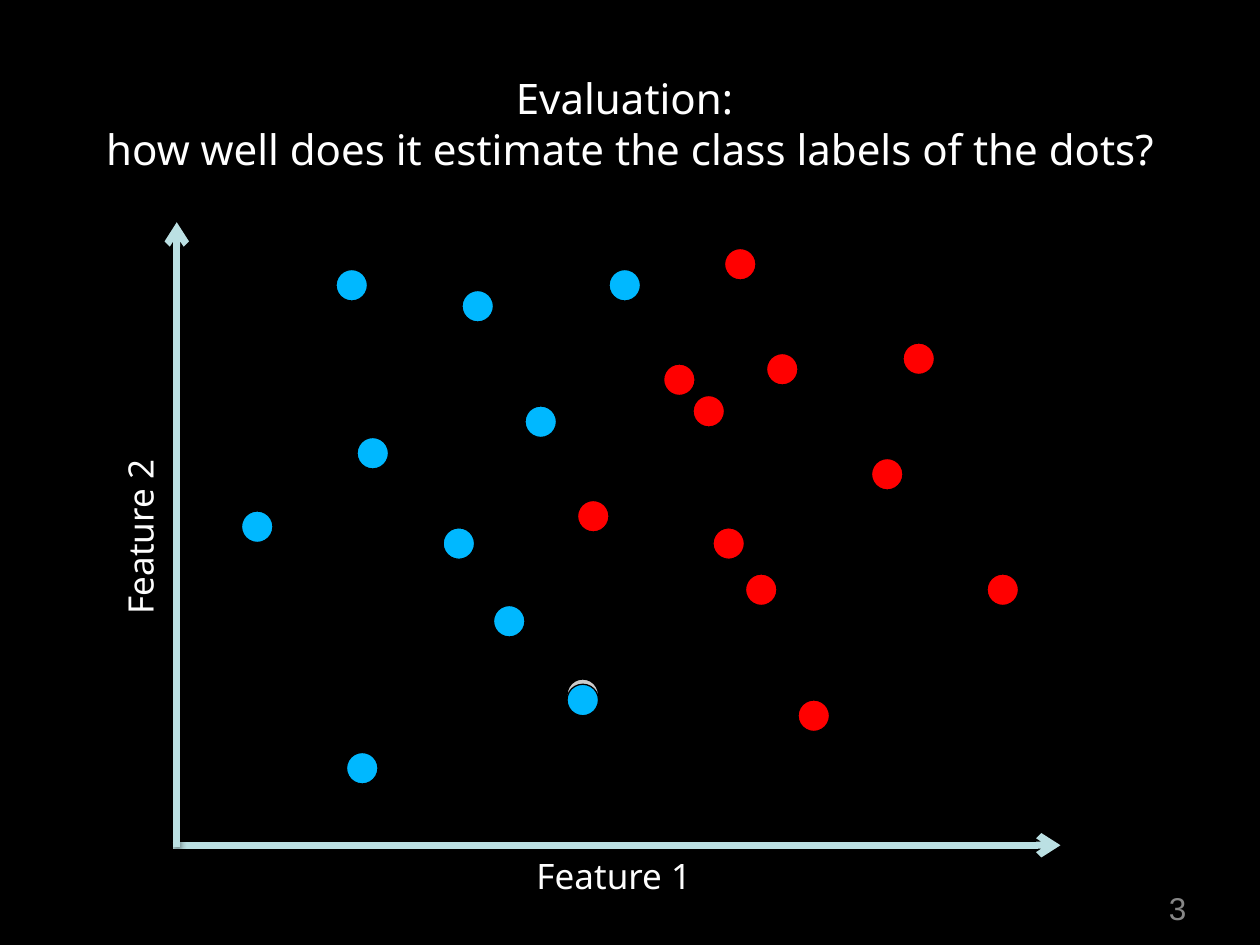
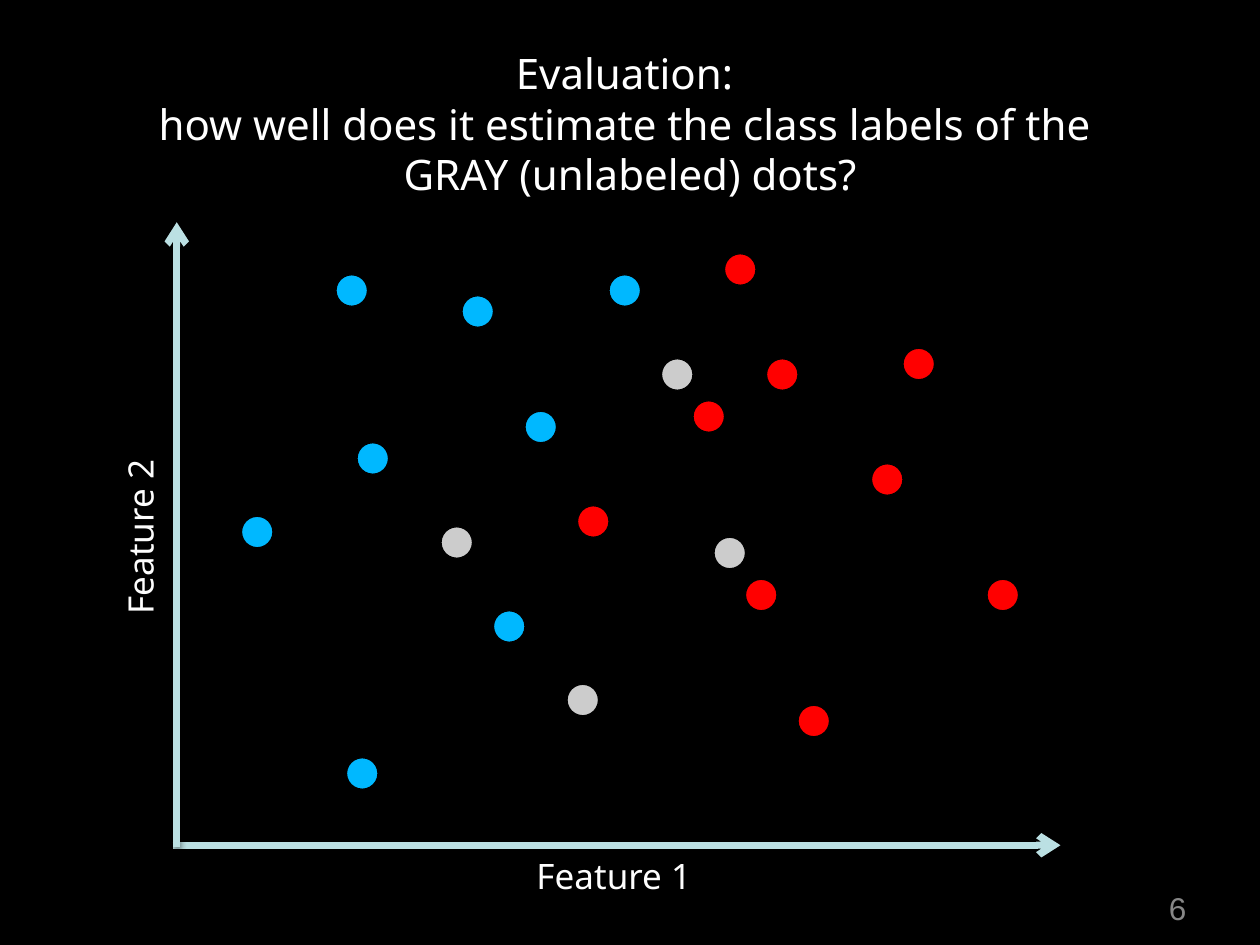
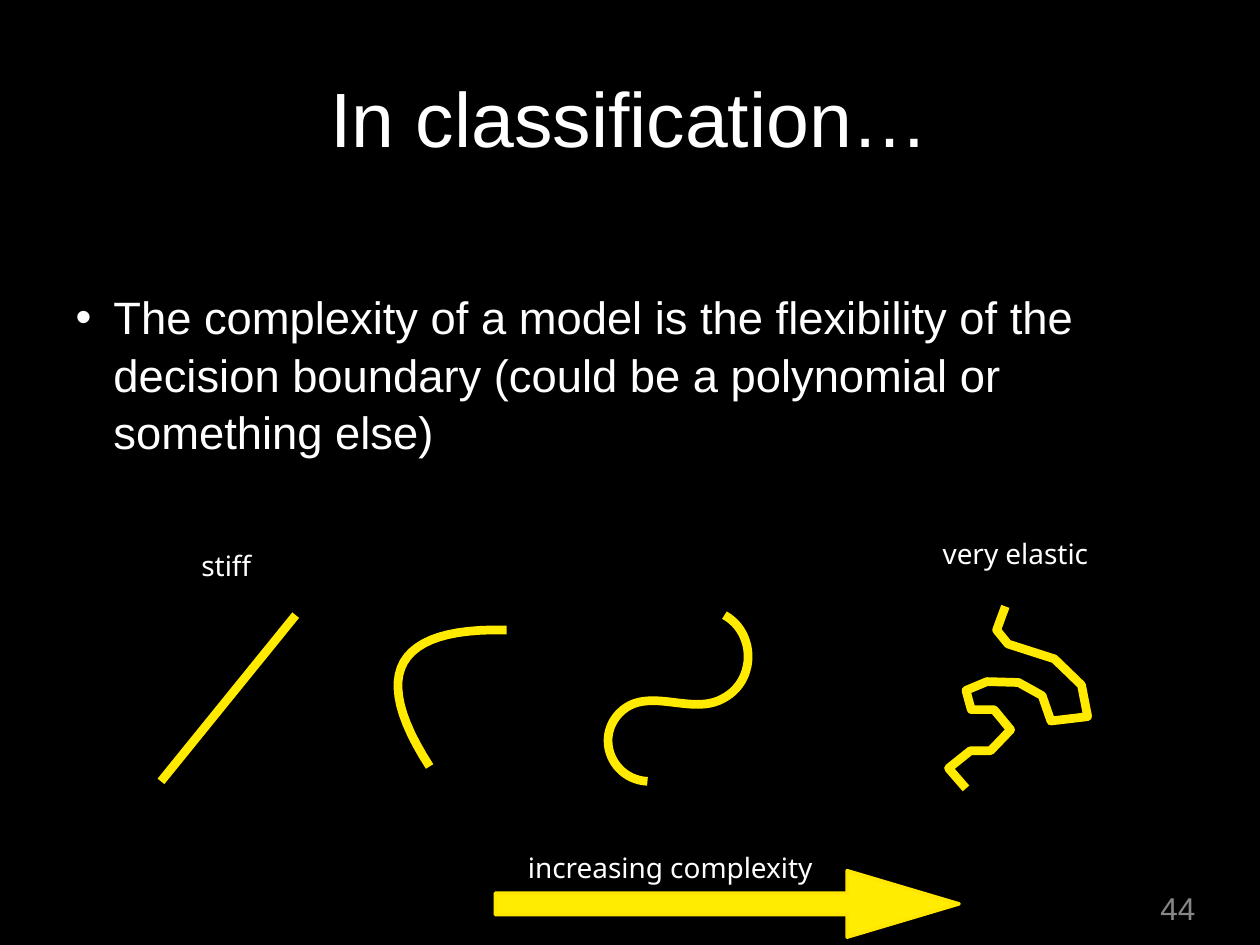
from dataclasses import dataclass

from lxml.etree import SubElement
from pptx import Presentation
from pptx.dml.color import RGBColor as RGB
from pptx.enum.shapes import MSO_CONNECTOR as CONN, MSO_SHAPE as SHAPE
from pptx.enum.text import MSO_ANCHOR as ANCHOR, MSO_AUTO_SIZE as AUTO, PP_ALIGN as ALIGN
from pptx.oxml.ns import qn
from pptx.util import Pt


@dataclass(frozen=True)
class Theme:
    black: RGB = RGB(0x00, 0x00, 0x00)
    white: RGB = RGB(0xFF, 0xFF, 0xFF)
    axis_text: RGB = RGB(0xFD, 0xFD, 0xFD)
    number: RGB = RGB(0x87, 0x87, 0x87)
    axis: RGB = RGB(0xBB, 0xE0, 0xE3)
    blue: RGB = RGB(0x00, 0xB8, 0xFF)
    red: RGB = RGB(0xFF, 0x00, 0x00)
    gray: RGB = RGB(0xCC, 0xCC, 0xCC)
    curve: RGB = RGB(0xFF, 0xEA, 0x00)
    arrow: RGB = RGB(0xFF, 0xEC, 0x00)
    arrow_edge: RGB = RGB(0xFF, 0xE6, 0x00)
    sans: str = "Arial"
    humanist: str = "Noto Sans"
    title: float = 44
    question: float = 24
    body: float = 25.9
    axis_label: float = 20
    page: float = 18
    label: float = 16


T = Theme()
TITLE_ONLY, TITLE_BODY = 5, 1
PLOT_BOX = (101, 127, 505, 356)
CELL, DOT = 6, 18

# Dot positions in grid cells: column, row
BLUE_DOTS = [(17, 20), (15, 4), (27, 6), (41, 4), (6, 27), (30, 36), (16, 50), (33, 17)]
RED_DOTS = [(56, 12), (49, 16), (54, 33), (59, 45), (52, 2), (66, 22), (38, 26), (77, 33), (69, 11)]
GRAY_DOTS = [(46, 12), (25, 28), (51, 29), (37, 43)]
GUESSED_RED = [(46.2, 13), (50.9, 28.6)]
GUESSED_BLUE = [(25.2, 28.6), (37, 43.5)]

# Decision boundaries: start point, then three points per Bezier segment
BEND = [(153.5, 92), (119, 38.5), (134, 12.5), (197.5, 14)]
S_CURVE = [(278, 100.5), (258, 99.5), (248, 76), (262, 61.5),
           (277.5, 45.5), (302.5, 63), (320.5, 53.5),
           (340, 44), (340.5, 16), (322, 5.5)]
WIGGLE = [(460, 104.5), (450, 93), (462.5, 83), (474, 83), (485.5, 71), (476, 59.5),
          (463, 59.5), (460, 48.5), (472, 43.5), (490, 44), (503.5, 51.5), (508.5, 66),
          (529.5, 63.5), (526, 45.5), (510.5, 30.5), (484, 22), (477.5, 14), (482.5, 0.5)]


def pts(*values):
    return [Pt(v) for v in values]


def set_all(obj, **formats):
    for name, value in formats.items():
        setattr(obj, name, value)


def fill_text(tf, lines, font, size, color, align=ALIGN.LEFT, inset=3.6, **frame):
    sides = ("margin_left", "margin_top", "margin_right", "margin_bottom")
    set_all(tf, auto_size=AUTO.NONE, **{**dict.fromkeys(sides, Pt(inset)), **frame})
    for i, line in enumerate(lines):
        p = tf.paragraphs[0] if i == 0 else tf.add_paragraph()
        set_all(p, alignment=align, space_before=Pt(0))
        r = p.add_run()
        r.text = line
        set_all(r.font, name=font, size=Pt(size))
        r.font.color.rgb = color


def add_label(shapes, box, text, font, size, color, **options):
    s = shapes.add_textbox(*pts(*box))
    fill_text(s.text_frame, [text], font, size, color, word_wrap=False, **options)
    return s


def place(s, box):
    set_all(s, **dict(zip(("left", "top", "width", "height"), pts(*box))))


def add_slide(prs, layout, number):
    slide = prs.slides.add_slide(prs.slide_layouts[layout])
    width = 8 + 12 * len(number)
    add_label(slide.shapes, (673 - width / 2, 505, width, 28), number, T.sans, T.page,
              T.number, align=ALIGN.CENTER, vertical_anchor=ANCHOR.MIDDLE)
    return slide


def add_title(slide, lines, top, font, size, inset):
    s = slide.shapes.title
    place(s, (36, top, 648, 119))
    fill_text(s.text_frame, lines, font, size, T.white, ALIGN.CENTER, inset,
              vertical_anchor=ANCHOR.MIDDLE)


def style_stroke(s, color, width, arrow=False):
    """Colour a stroke and give it the soft shadow that all strokes share."""
    s.line.color.rgb = color
    s.line.width = Pt(width)
    if arrow:
        SubElement(s.line._get_or_add_ln(), qn("a:tailEnd"), type="arrow")
    effects = SubElement(s._element.spPr, qn("a:effectLst"))
    shadow = SubElement(effects, qn("a:outerShdw"), blurRad=str(Pt(3)), dist=str(Pt(1.6)),
                        dir="5400000", rotWithShape="0")
    black = SubElement(shadow, qn("a:srgbClr"), val=str(T.black))
    SubElement(black, qn("a:alpha"), val="38000")


def add_stroke(shapes, ends, color, width, arrow=False):
    s = shapes.add_connector(CONN.STRAIGHT, *pts(*ends))
    style_stroke(s, color, width, arrow)


def add_dots(shapes, x, y, cells, color):
    for col, row in cells:
        s = shapes.add_shape(SHAPE.OVAL, *pts(x + col * CELL, y + row * CELL, DOT, DOT))
        s.shadow.inherit = False
        s.fill.solid()
        s.fill.fore_color.rgb = color
        s.line.color.rgb = T.black
        s.line.width = Pt(0.75)


def add_axes(slide, box):
    x, y, w, h = box
    axes = slide.shapes.add_group_shape().shapes
    add_stroke(axes, (x - 2.4, y + h, x + w, y + h), T.axis, 4, arrow=True)
    add_stroke(axes, (x, y + h + 0.8, x, y), T.axis, 4, arrow=True)
    style = (T.humanist, T.axis_label, T.axis_text)
    add_label(slide.shapes, (x + 202, y + h + 2, 99.5, 30), "Feature 1", *style)
    s = add_label(slide.shapes, (x - 71.5, y + 163, 99.5, 30), "Feature 2", *style)
    s.rotation = 270


def evaluation_slide(prs, number, question, grid_drop, gray, guesses=()):
    slide = add_slide(prs, TITLE_ONLY, number)
    add_title(slide, ["Evaluation: ", *question], 11, T.humanist, T.question, 2.9)
    x, y = PLOT_BOX[0] + 1, PLOT_BOX[1] + grid_drop
    dots = slide.shapes.add_group_shape().shapes
    for cells, color in ((BLUE_DOTS, T.blue), (RED_DOTS, T.red), (gray, T.gray)):
        add_dots(dots, x, y, cells, color)
    add_axes(slide, PLOT_BOX)
    for cells, color in guesses:
        add_dots(slide.shapes, x, y, cells, color)


def bezier(points, steps=24):
    """Turn a chain of cubic segments into points along the curve."""
    line = [points[0]]
    for i in range(0, len(points) - 1, 3):
        for k in range(1, steps + 1):
            t = k / steps
            weights = ((1 - t) ** 3, 3 * t * (1 - t) ** 2, 3 * t * t * (1 - t), t ** 3)
            line.append(tuple(sum(w * p[axis] for w, p in zip(weights, points[i:i + 4]))
                              for axis in (0, 1)))
    return line


def add_boundaries(slide, box):
    x, y, w, h = box
    top = y + 43
    for left, drop, width, text in ((19.5, 7, 39, "stiff"), (443, 0, 95, "very elastic")):
        add_label(slide.shapes, (x + left, y + drop, width, 25), text,
                  T.humanist, T.label, T.white)
    add_stroke(slide.shapes, (x, top + 100.5, x + 77, top + 5.5), T.curve, 5)
    for line in (bezier(BEND), bezier(S_CURVE), WIGGLE):
        start, *rest = [pts(x + px, top + py) for px, py in line]
        builder = slide.shapes.build_freeform(*start)
        builder.add_line_segments(rest, close=False)
        s = builder.convert_to_shape()
        s.fill.background()
        style_stroke(s, T.curve, 5)


def add_complexity_arrow(slide, box):
    x, y, w, h = box
    add_label(slide.shapes, (x + 15, y, 178.5, 25), "increasing complexity",
              T.humanist, T.label, T.white)
    s = slide.shapes.add_shape(SHAPE.RIGHT_ARROW, *pts(x, y + 15, w, h - 15))
    s.adjustments[0], s.adjustments[1] = 0.32, 1.682
    s.shadow.inherit = False
    s.fill.solid()
    s.fill.fore_color.rgb = T.arrow
    s.line.color.rgb = T.arrow_edge
    s.line.width = Pt(2)


def classification_slide(prs, number):
    slide = add_slide(prs, TITLE_BODY, number)
    add_title(slide, ["In classification…"], 7, T.sans, T.title, 4.3)
    s = slide.placeholders[1]
    place(s, (36, 121.5, 648, 137))
    fill_text(s.text_frame, ["The complexity of a model is the flexibility of the decision "
                             "boundary (could be a polynomial or something else)"],
              T.sans, T.body, T.white, inset=4.3, margin_top=Pt(42.5))
    p = s.text_frame.paragraphs[0]
    p.line_spacing = 1.05
    pPr = p._p.get_or_add_pPr()
    pPr.set("marL", str(Pt(24.5)))
    pPr.set("indent", str(Pt(-21.6)))
    add_boundaries(slide, (92, 303, 530, 148))
    add_complexity_arrow(slide, (283, 482.5, 265, 53))


def main():
    prs = Presentation()
    prs.slide_width, prs.slide_height = pts(720, 540)
    bg = prs.slide_master.background.fill
    bg.solid()
    bg.fore_color.rgb = T.black
    evaluation_slide(prs, "3", ["how well does it estimate the class labels of the dots?"],
                     3, GRAY_DOTS[-1:], [(GUESSED_RED, T.red), (GUESSED_BLUE, T.blue)])
    evaluation_slide(prs, "6", ["how well does it estimate the class labels of the ",
                                "GRAY (unlabeled) dots?"], 6, GRAY_DOTS)
    classification_slide(prs, "44")
    prs.save("out.pptx")


if __name__ == "__main__":
    main()
